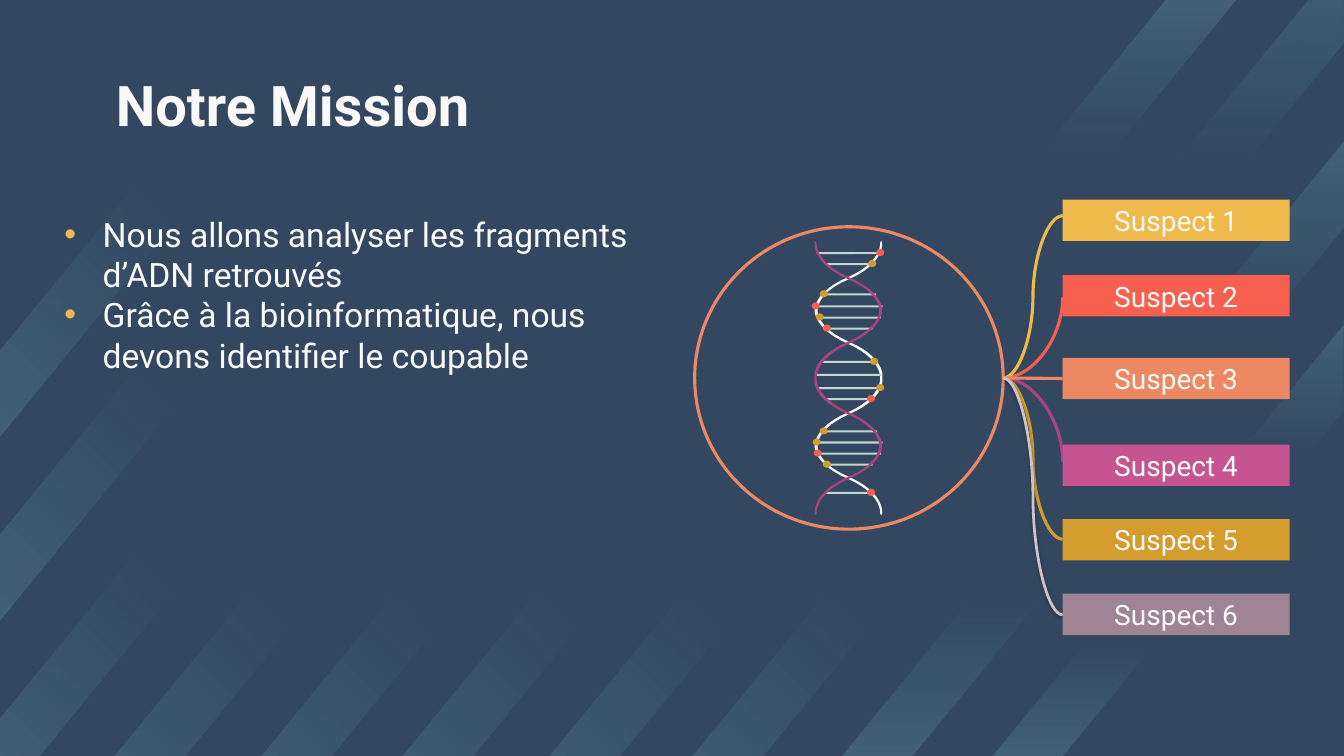
from dataclasses import dataclass
from typing import Any, Optional

from lxml import etree
from pptx import Presentation
from pptx import util as u
from pptx.dml.color import RGBColor
from pptx.enum import shapes, text
from pptx.oxml import ns

Point = tuple[float, float]
Stops = tuple[tuple[int, int], ...]


@dataclass(frozen=True)
class Theme:
    font: str = "Roboto"
    title_size: int = 40
    body_size: int = 24
    label_size: int = 20
    background: str = "334860"
    bar: str = "87D2E4"
    white: str = "F9F9F9"
    yellow: str = "EFB94B"
    red: str = "F75F4F"
    orange: str = "ED8962"
    pink: str = "C65490"
    purple: str = "AA437E"
    gold: str = "D39C2C"
    mauve: str = "9E8494"
    pale: str = "CEC1C9"
    rung: str = "C2D7D0"


THEME = Theme()


@dataclass(frozen=True)
class Bar:
    corners: list[Point]
    stops: Stops  # (position, opacity) in percent
    angle: int


@dataclass(frozen=True)
class Rung:
    top: float
    width: float
    dot_left: Optional[float] = None
    dot_color: str = THEME.gold


@dataclass(frozen=True)
class Suspect:
    number: int
    top: float
    color: str
    link_color: str
    link_end: float
    link_kind: str = "curvedConnector3"
    link_width: float = 2.25
    shadow: bool = False


# Background bars
def short_bar(left: float, top: float, fade: int, angle: int) -> Bar:
    offsets = [(1.35, 0), (0, 1.65), (0, 2.51), (2.05, 0)]
    corners = [(left + x, top + y) for x, y in offsets]
    return Bar(corners, ((0, 18), (fade, 0), (100, 0)), angle)


def edge_bar(top: float, foot: float, bottom: float, stops: Stops) -> Bar:
    edge = 13.32
    corners = [(edge, top), (foot, bottom), (foot + 0.7, bottom), (edge, top + 0.86)]
    return Bar(corners, stops, 90)


BOTH_ENDS: Stops = ((0, 18), (29, 0), (75, 0), (100, 18))
BARS = [
    short_bar(10.21, 0, 58, 90),
    edge_bar(-0.43, 11.32, 2.02, ((0, 18), (82, 0), (100, 0))),
    edge_bar(3.22, 9.84, 7.5, BOTH_ENDS),
    edge_bar(1.4, 8.35, 7.5, BOTH_ENDS),
    *(short_bar(left, 5.85, 84, 315) for left in (6.87, 1.14, 2.59, 3.99, 5.45)),
    *(short_bar(0, top, 84, 315) for top in (5.47, 3.65, 1.82)),
]

# Helix: the two edges of a strand's upper half, as joined Bezier points
LEFT_EDGE = [(8.73, 2.41), (8.73, 2.41), (8.75, 2.6), (8.41, 2.75), (8.11, 2.88),
             (8.08, 3.03), (8.08, 3.08), (8.08, 3.12), (8.11, 3.28), (8.41, 3.41),
             (8.75, 3.56), (8.73, 3.75), (8.73, 3.75)]
RIGHT_EDGE = [(8.75, 2.4), (8.75, 2.41), (8.78, 2.61), (8.42, 2.77), (8.13, 2.89),
              (8.11, 3.04), (8.11, 3.08), (8.11, 3.12), (8.13, 3.26), (8.42, 3.39),
              (8.77, 3.54), (8.76, 3.73), (8.75, 3.75)]
HELIX_X, HELIX_Y = 8.42, 3.75
RUNGS = [
    Rung(2.5, 0.64, 8.69, THEME.red), Rung(2.61, 0.47, 8.61), Rung(2.91, 0.54, 8.13),
    Rung(3.03, 0.67, 8.05, THEME.red), Rung(3.14, 0.64, 8.09),
    Rung(3.25, 0.47, 8.16, THEME.red), Rung(3.58, 0.56, 8.63), Rung(3.71, 0.65),
    Rung(3.84, 0.64, 8.69), Rung(3.95, 0.47, 8.6, THEME.red), Rung(4.27, 0.56, 8.13),
    Rung(4.38, 0.67, 8.06), Rung(4.49, 0.64, 8.07, THEME.red),
    Rung(4.6, 0.47, 8.16), Rung(4.88, 0.47, 8.6, THEME.red),
]
SUSPECTS = [
    Suspect(2, 2.73, THEME.red, THEME.red, 2.95, "curvedConnector2"),
    Suspect(4, 4.41, THEME.pink, THEME.purple, 4.58, "curvedConnector2"),
    Suspect(5, 5.15, THEME.gold, THEME.gold, 5.35),
    Suspect(1, 1.98, THEME.yellow, THEME.yellow, 2.14),
    Suspect(3, 3.55, THEME.orange, THEME.orange, 3.75, "line"),
    Suspect(6, 5.89, THEME.mauve, THEME.pale, 6.1, link_width=2, shadow=True),
]


def cm(inches: float) -> u.Cm:
    return u.Cm(inches * 2.54)


def rgb(color: str) -> RGBColor:
    return RGBColor.from_string(color)


def apply(target: Any, formats: dict[str, Any]) -> None:
    for name, value in formats.items():
        setattr(target, name, value)


def add(parent: Any, tag: str, **attributes: Any) -> Any:
    values = {name: str(value) for name, value in attributes.items()}
    return etree.SubElement(parent, ns.qn(tag), values)


def add_outline(owner: Any, points: list[Point]) -> Any:
    start, *rest = [(cm(x), cm(y)) for x, y in points]
    builder = owner.shapes.build_freeform(*start, scale=1.0)
    builder.add_line_segments(rest, close=True)
    outline = builder.convert_to_shape()
    outline.shadow.inherit = False
    outline.line.fill.background()
    return outline


def add_solid(owner: Any, kind: Any, frame: tuple[float, ...], color: str) -> Any:
    solid = owner.shapes.add_shape(kind, *map(cm, frame))
    solid.shadow.inherit = False
    solid.fill.solid()
    solid.fill.fore_color.rgb = rgb(color)
    solid.line.fill.background()
    return solid


def add_bar(owner: Any, bar: Bar) -> None:
    outline = add_outline(owner, bar.corners)
    outline.fill.gradient()
    gradient = outline._element.spPr.find(ns.qn("a:gradFill"))
    for child in list(gradient):
        gradient.remove(child)
    stop_list = add(gradient, "a:gsLst")
    for position, opacity in bar.stops:
        stop = add(stop_list, "a:gs", pos=position * 1000)
        color = add(stop, "a:srgbClr", val=THEME.bar)
        add(color, "a:alpha", val=opacity * 1000)
    add(gradient, "a:lin", ang=bar.angle * 60000, scaled=0)


def sample_edge(knots: list[Point], steps: int = 12) -> list[Point]:
    """Points along an edge and its mirror image below the helix centre."""
    half = [knots[0]]
    for first in range(0, len(knots) - 1, 3):
        a, b, c, d = knots[first:first + 4]
        for step in range(1, steps + 1):
            t = step / steps
            s = 1 - t
            half.append(tuple(s**3 * a[i] + 3 * s * s * t * b[i] + 3 * s * t * t * c[i]
                              + t**3 * d[i] for i in (0, 1)))
    return half + [(x, 2 * HELIX_Y - y) for x, y in half[-2::-1]]


def add_strand(owner: Any, color: str, mirrored: bool) -> None:
    points = [(8.74, 2.39), *sample_edge(LEFT_EDGE), (8.74, 5.11),
              *reversed(sample_edge(RIGHT_EDGE))]
    if mirrored:
        points = [(16.83 - x, y) for x, y in points]
    strand = add_outline(owner, points)
    strand.fill.solid()
    strand.fill.fore_color.rgb = rgb(color)


def add_helix(owner: Any) -> None:
    add_strand(owner, THEME.white, mirrored=False)
    for rung in RUNGS:
        frame = (HELIX_X - rung.width / 2, rung.top, rung.width, 0.02)
        bar = add_solid(owner, shapes.MSO_SHAPE.ROUNDED_RECTANGLE, frame, THEME.rung)
        bar.adjustments[0] = 0.5
    add_strand(owner, THEME.purple, mirrored=True)
    for rung in RUNGS:
        if rung.dot_left is not None:
            frame = (rung.dot_left, rung.top - 0.03, 0.08, 0.07)
            add_solid(owner, shapes.MSO_SHAPE.OVAL, frame, rung.dot_color)


def write(para: Any, words: str, size: int, bold: bool = False) -> None:
    span = para.add_run()
    span.text = words
    apply(span.font, {"name": THEME.font, "size": u.Pt(size), "bold": bold})
    span.font.color.rgb = rgb(THEME.white)


def add_text_box(page: Any, frame: tuple[float, ...], inset: float) -> Any:
    body = page.shapes.add_textbox(*map(cm, frame)).text_frame
    apply(body, {"word_wrap": True, "margin_top": cm(inset), "margin_bottom": cm(inset)})
    return body


def add_suspect(page: Any, suspect: Suspect) -> None:
    straight = suspect.link_kind == "line"
    kind = shapes.MSO_CONNECTOR.STRAIGHT if straight else shapes.MSO_CONNECTOR.CURVE
    ends = (9.95, HELIX_Y, 10.54, suspect.link_end)
    link = page.shapes.add_connector(kind, *map(cm, ends))
    link.line.color.rgb = rgb(suspect.link_color)
    link.line.width = u.Pt(suspect.link_width)
    properties = link._element.spPr
    properties.find(ns.qn("a:prstGeom")).set("prst", suspect.link_kind)
    effects = add(properties, "a:effectLst")
    if suspect.shadow:
        shadow = add(effects, "a:outerShdw", blurRad=u.Pt(3.1), dist=u.Pt(1.6),
                     dir=90 * 60000, rotWithShape=0)
        add(add(shadow, "a:srgbClr", val="000000"), "a:alpha", val=38000)

    frame = (10.54, suspect.top, 2.25, 0.41)
    box = add_solid(page, shapes.MSO_SHAPE.RECTANGLE, frame, suspect.color)
    apply(box.text_frame, {"vertical_anchor": text.MSO_ANCHOR.MIDDLE, "word_wrap": True,
                           "margin_top": cm(0.1), "margin_bottom": cm(0.1)})
    para = box.text_frame.paragraphs[0]
    para.alignment = text.PP_ALIGN.CENTER
    write(para, f"Suspect {suspect.number}", THEME.label_size)
    if straight:
        link.end_connect(box, 1)


def main() -> None:
    deck = Presentation()
    apply(deck, {"slide_width": cm(13.33), "slide_height": cm(7.5)})
    page = deck.slides.add_slide(deck.slide_layouts[6])
    page.background.fill.solid()
    page.background.fill.fore_color.rgb = rgb(THEME.background)

    backdrop = page.shapes.add_group_shape()
    for bar in BARS:
        add_bar(backdrop, bar)

    # Title and bullets
    title = add_text_box(page, (1.05, 0.6, 11.23, 0.86), 0.1)
    write(title.paragraphs[0], "Notre Mission", THEME.title_size, bold=True)
    body = add_text_box(page, (0.54, 2.07, 6.35, 4.77), 0.05)
    points = ["Nous allons analyser les fragments d’ADN retrouvés",
              "Grâce à la bioinformatique, nous devons identifier le coupable"]
    for index, words in enumerate(points):
        para = body.add_paragraph() if index else body.paragraphs[0]
        layout = para._p.get_or_add_pPr()
        apply_indent = {"marL": cm(0.38), "indent": -cm(0.38)}
        for name, value in apply_indent.items():
            layout.set(name, str(int(value)))
        add(add(layout, "a:buClr"), "a:srgbClr", val=THEME.yellow)
        add(layout, "a:buFont", typeface="Arial")
        add(layout, "a:buChar", char="•")
        write(para, words, THEME.body_size)

    # Circled helix
    circle = add_solid(page, shapes.MSO_SHAPE.OVAL, (6.89, 2.25, 3.06, 3), THEME.orange)
    circle.fill.background()
    circle.line.color.rgb = rgb(THEME.orange)
    circle.line.width = u.Pt(2.25)
    add_helix(page.shapes.add_group_shape())

    # Suspects
    for suspect in SUSPECTS:
        add_suspect(page, suspect)
    deck.save("out.pptx")


if __name__ == "__main__":
    main()
